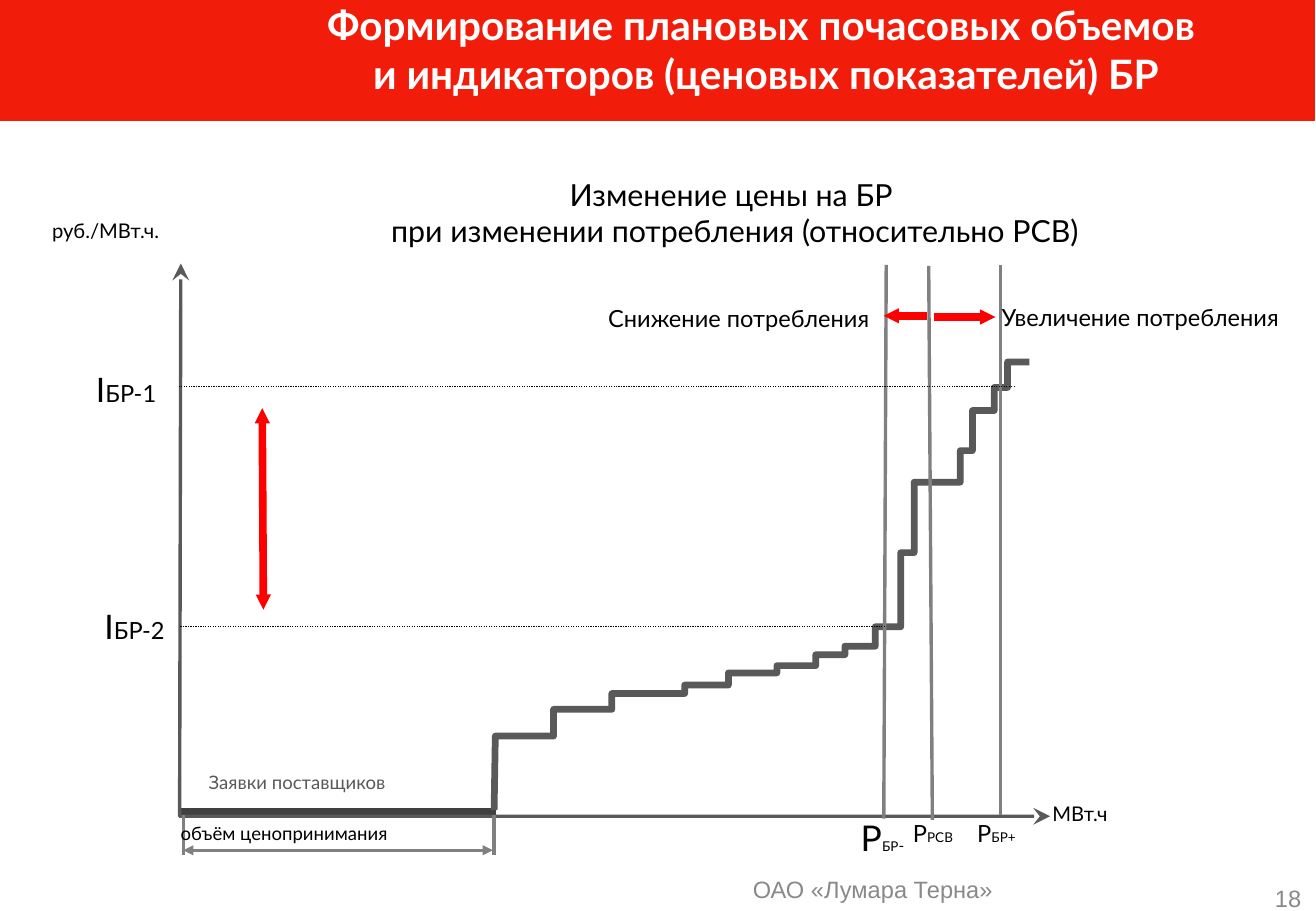
from dataclasses import dataclass
from typing import Optional

from lxml.etree import SubElement
from pptx import Presentation
from pptx.dml.color import RGBColor
from pptx.enum.dml import MSO_LINE
from pptx.enum.shapes import MSO_CONNECTOR, MSO_SHAPE
from pptx.enum.text import MSO_ANCHOR as Anchor, MSO_AUTO_SIZE as AutoSize, PP_ALIGN as Align
from pptx.oxml.ns import qn
from pptx.util import Inches, Pt

Point = tuple[float, float]
Insets = tuple[float, float]  # horizontal, vertical


@dataclass(frozen=True)
class Theme:
    body_font: str = "Lato"
    footer_font: str = "Arial"
    band: str = "F21C0A"
    title: str = "FFFFFF"
    text: str = "000000"
    muted: str = "898989"
    supply: str = "595959"
    price_taking: str = "404040"
    guide: str = "808080"
    change: str = "FF0000"
    title_size: float = 24
    subtitle_size: float = 18
    volume_size: float = 14
    axis_size: float = 12
    note_size: float = 11
    index_size: float = 20
    big_volume_size: float = 21
    subscript_size: float = 8
    sign_size: float = 9


THEME = Theme()
NO_INSETS: Insets = (0, 0)
TEXT_INSETS: Insets = (0.1, 0.05)
FOOTER_INSETS: Insets = (0.12, 0.06)


@dataclass(frozen=True)
class Stroke:
    color: str
    width: float
    head: Optional[str] = None
    tail: Optional[str] = None
    arrow_size: str = "med"
    dotted: bool = False


@dataclass(frozen=True)
class Segment:
    start: Point
    end: Point
    stroke: Stroke


@dataclass(frozen=True)
class Label:
    box: tuple[float, float, float, float]
    runs: tuple[tuple[str, float], ...]
    insets: Insets = TEXT_INSETS
    color: str = THEME.text
    font: str = THEME.body_font
    align: Align = Align.LEFT
    anchor: Anchor = Anchor.TOP
    wrap: bool = False
    spacing: float = 1.0


GUIDE = Stroke(THEME.guide, 2)
SPAN = Stroke(THEME.guide, 2, "triangle", "triangle")
LEVEL = Stroke(THEME.text, 0.75, dotted=True)
SHIFT = Stroke(THEME.change, 4.5, tail="triangle", arrow_size="sm")
PRICE_RANGE = Stroke(THEME.change, 4.5, "triangle", "triangle", "sm")
AXES = Stroke(THEME.supply, 2, "stealth", "stealth", "lg")
SUPPLY = Stroke(THEME.supply, 4)

AXIS_POINTS: list[Point] = [(1.49, 2.17), (1.48, 6.72), (8.65, 6.72)]
SUPPLY_START: list[Point] = [(4.07, 6.67), (4.08, 6.06)]
# Height of each supplier bid and the x at which it ends
SUPPLY_BIDS: list[Point] = [
    (6.06, 4.56), (5.84, 5.04), (5.71, 5.64), (5.64, 6), (5.54, 6.4),
    (5.48, 6.72), (5.39, 6.96), (5.32, 7.21), (5.16, 7.42), (4.55, 7.53),
    (3.97, 7.91), (3.71, 8.01), (3.38, 8.19), (3.19, 8.3), (2.98, 8.48),
]

PRICE_TAKING = Segment((4.09, 6.68), (1.49, 6.68), Stroke(THEME.price_taking, 4.5))
SEGMENTS = [
    Segment((7.65, 2.19), (7.68, 6.75), GUIDE),
    Segment((8.24, 2.18), (8.24, 6.71), GUIDE),
    Segment((7.3, 2.18), (7.28, 6.74), GUIDE),
    *(Segment((x, 6.71), (x, 7.04), GUIDE) for x in (1.51, 4.07)),
    Segment((1.51, 7), (4.06, 7), SPAN),
    Segment((8.36, 3.18), (1.47, 3.18), LEVEL),
    Segment((7.29, 5.16), (1.48, 5.16), LEVEL),
    Segment((7.69, 2.61), (8.2, 2.61), SHIFT),
    Segment((7.64, 2.6), (7.28, 2.6), SHIFT),
    Segment((2.16, 3.36), (2.17, 5.02), PRICE_RANGE),
]

LABELS = [
    Label((2.05, 1.43, 8.01, 0.64),
          (("Изменение цены на БР \vпри изменении потребления (относительно РСВ)",
            THEME.subtitle_size),),
          align=Align.CENTER, anchor=Anchor.MIDDLE, wrap=True),
    Label((0.33, 1.75, 1.12, 0.3), (("руб./МВт.ч.", THEME.axis_size),)),
    Label((8.57, 6.55, 0.68, 0.3), (("МВт.ч", THEME.axis_size),)),
    Label((1.62, 6.3, 1.82, 0.29), (("Заявки поставщиков", THEME.note_size),),
          color=THEME.supply),
    Label((1.39, 6.75, 2.07, 0.25), (("объём ценопринимания", THEME.note_size),), spacing=0.8),
    Label((5.01, 2.5, 2.25, 0.47), (("Снижение потребления", THEME.volume_size),),
          NO_INSETS, wrap=True),
    Label((8.25, 2.49, 2.4, 0.47), (("Увеличение потребления", THEME.volume_size),),
          NO_INSETS, wrap=True),
    Label((7.09, 6.72, 0.38, 0.35),
          (("P", THEME.big_volume_size), ("БР", THEME.subscript_size), ("-", THEME.sign_size)),
          NO_INSETS, wrap=True),
    Label((7.52, 6.74, 0.39, 0.23),
          (("P", THEME.volume_size), ("РСВ", THEME.subscript_size)), NO_INSETS, wrap=True),
    Label((8.05, 6.74, 0.43, 0.23),
          (("P", THEME.volume_size), ("БР+", THEME.subscript_size)), NO_INSETS, wrap=True),
    *(Label((x, y, 0.51, 0.33), (("I", THEME.index_size), (name, THEME.volume_size)), NO_INSETS)
      for x, y, name in ((0.79, 3.04, "БР-1"), (0.86, 4.99, "БР-2"))),
    Label((3.84, 7.14, 6.7, 0.36), (("ОАО «Лумара Терна»", THEME.volume_size),),
          FOOTER_INSETS, THEME.muted, THEME.footer_font, Align.CENTER, Anchor.MIDDLE, True),
    Label((10.38, 7.29, 0.46, 0.21), (("18", THEME.volume_size),),
          FOOTER_INSETS, THEME.muted, THEME.footer_font, Align.RIGHT, Anchor.MIDDLE, True),
]


def apply_stroke(shape, stroke: Stroke) -> None:
    shape.line.color.rgb = RGBColor.from_string(stroke.color)
    shape.line.width = Pt(stroke.width)
    if stroke.dotted:
        shape.line.dash_style = MSO_LINE.ROUND_DOT
    outline = shape.line._get_or_add_ln()
    for tag, kind in (("a:headEnd", stroke.head), ("a:tailEnd", stroke.tail)):
        if kind:
            SubElement(outline, qn(tag), type=kind, w=stroke.arrow_size, len=stroke.arrow_size)


def draw_segment(slide, segment: Segment) -> None:
    ends = [Inches(value) for value in (*segment.start, *segment.end)]
    connector = slide.shapes.add_connector(MSO_CONNECTOR.STRAIGHT, *ends)
    apply_stroke(connector, segment.stroke)
    SubElement(connector._element.spPr, qn("a:effectLst"))


def draw_polyline(slide, points: list[Point], stroke: Stroke) -> None:
    (start_x, start_y), *rest = [(Inches(x), Inches(y)) for x, y in points]
    builder = slide.shapes.build_freeform(start_x, start_y)
    builder.add_line_segments(rest, close=False)
    polyline = builder.convert_to_shape()
    polyline.fill.background()
    polyline.shadow.inherit = False
    apply_stroke(polyline, stroke)


def fill_text(shape, label: Label, bold: bool = False) -> None:
    frame = shape.text_frame
    frame.auto_size = AutoSize.NONE
    frame.word_wrap = label.wrap
    frame.vertical_anchor = label.anchor
    frame.margin_left = frame.margin_right = Inches(label.insets[0])
    frame.margin_top = frame.margin_bottom = Inches(label.insets[1])
    paragraph = frame.paragraphs[0]
    paragraph.alignment = label.align
    paragraph.line_spacing = label.spacing
    paragraph.font.name = label.font
    paragraph.font.bold = bold
    paragraph.font.color.rgb = RGBColor.from_string(label.color)
    if len(label.runs) == 1:
        paragraph.text = label.runs[0][0]
        paragraph.font.size = Pt(label.runs[0][1])
        return
    for text, size in label.runs:
        run = paragraph.add_run()
        run.text = text
        run.font.size = Pt(size)


def draw_label(slide, label: Label) -> None:
    fill_text(slide.shapes.add_textbox(*map(Inches, label.box)), label)


def draw_header(slide) -> None:
    band = slide.shapes.add_shape(MSO_SHAPE.RECTANGLE, 0, 0, Inches(10.83), Inches(0.99))
    band.fill.solid()
    band.fill.fore_color.rgb = RGBColor.from_string(THEME.band)
    band.shadow.inherit = False
    apply_stroke(band, Stroke(THEME.band, 0.75))
    heading = Label(
        (1.79, 0, 9.04, 0.99),
        (("Формирование плановых почасовых объемов \vи индикаторов (ценовых показателей) БР",
          THEME.title_size),),
        NO_INSETS, THEME.title, align=Align.CENTER, wrap=True)
    title = slide.shapes.title
    title.left, title.top, title.width, title.height = map(Inches, heading.box)
    fill_text(title, heading, bold=True)
    title._element.addprevious(band._element)  # the band lies behind the title


def main() -> None:
    prs = Presentation()
    prs.slide_width, prs.slide_height = Inches(10.84), Inches(7.5)
    slide = prs.slides.add_slide(prs.slide_layouts[5])
    draw_header(slide)
    draw_segment(slide, PRICE_TAKING)
    bid_ends = [(x, y) for y, x in SUPPLY_BIDS]
    bid_starts = [(x, y) for (_, x), (y, _) in zip(SUPPLY_BIDS, SUPPLY_BIDS[1:])]
    steps = [bid_ends[0]]
    for corner in zip(bid_starts, bid_ends[1:]):
        steps.extend(corner)
    draw_polyline(slide, SUPPLY_START + steps, SUPPLY)
    draw_polyline(slide, AXIS_POINTS, AXES)
    for segment in SEGMENTS:
        draw_segment(slide, segment)
    for label in LABELS:
        draw_label(slide, label)
    prs.save("out.pptx")


if __name__ == "__main__":
    main()
